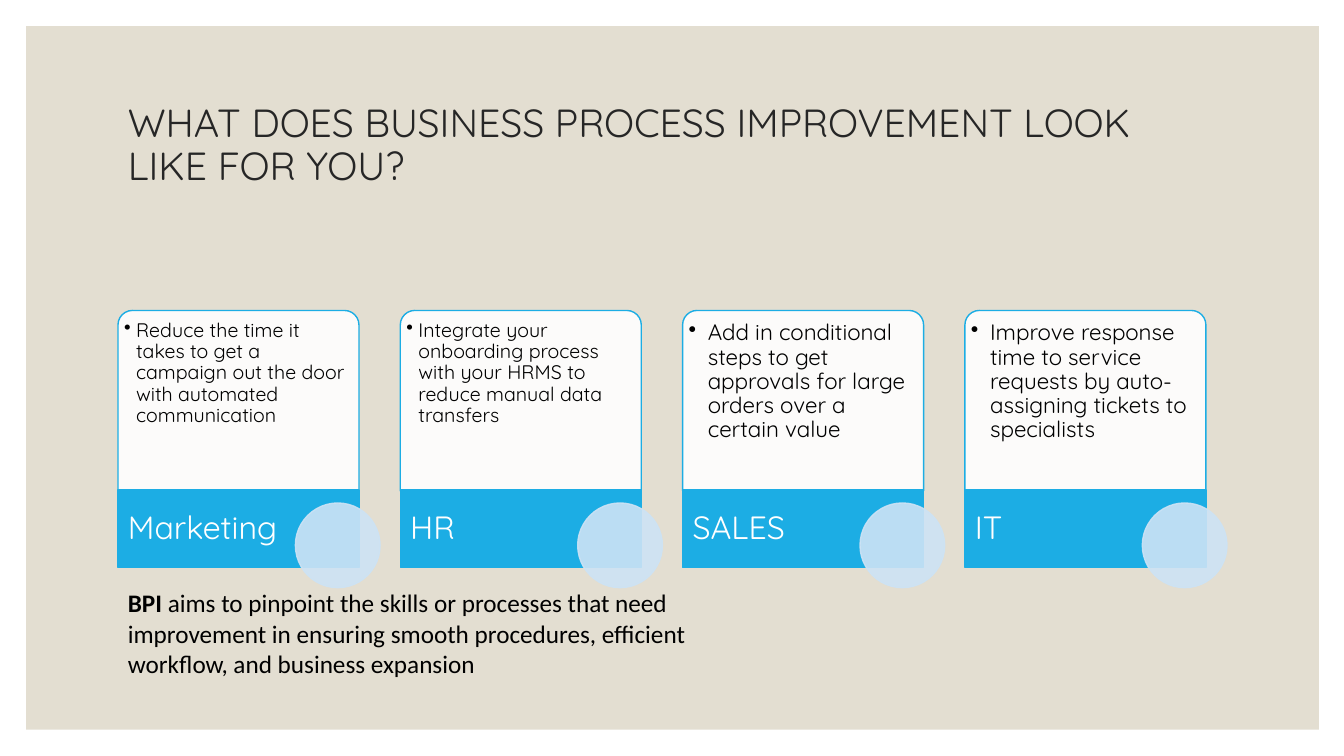
from lxml.etree import SubElement
from pptx import Presentation
from pptx.dml.color import RGBColor
from pptx.enum.shapes import MSO_SHAPE as Kind
from pptx.enum.text import MSO_ANCHOR as Anchor
from pptx.oxml.ns import qn
from pptx.util import Inches, Pt

TITLE = "WHAT DOES BUSINESS PROCESS IMPROVEMENT LOOK LIKE FOR YOU?"
# name, text, text size, bullet indent, top inset
CARDS = [
    ("Marketing", "Reduce the time it takes to get a campaign out the door "
     "with automated communication", 14, 0.12, 0.06),
    ("HR", "Integrate your onboarding process with your HRMS to reduce "
     "manual data transfers", 14, 0.12, 0.06),
    ("SALES", "Add in conditional steps to get approvals for large orders "
     "over a certain value", 16, 0.19, 0.07),
    ("IT", "Improve response time to service requests by auto-assigning "
     "tickets to specialists", 16, 0.19, 0.07),
]
NOTE = [("BPI", True),
        (" aims to pinpoint the skills or processes that need improvement in "
         "ensuring smooth procedures, efficient workflow, and business "
         "expansion", False)]
COLORS = {"sand": "E3DED1", "title": "262626", "blue": "1CADE4",
          "pale": "CDE3F5", "white": "FFFFFF", "black": "000000"}

LEFT, STEP, WIDTH = 1.17, 2.8, 2.39
TOP, BODY, BAR, DOT = 3.08, 1.79, 0.77, 0.84


def color(name):
    return RGBColor.from_string(COLORS[name])


def fade(fill, percent):
    """Set the opacity of a solid fill."""
    tint = fill.fore_color._xFill[0]
    SubElement(tint, qn("a:alpha"), val=str(percent * 1000))


def add_box(slide, kind, at, fill, line=None, alpha=100, edge=100):
    box = slide.shapes.add_shape(kind, *map(Inches, at))
    box.shadow.inherit = False
    box.fill.solid()
    box.fill.fore_color.rgb = color(fill)
    if alpha < 100:
        fade(box.fill, alpha)
    if line:
        box.line.color.rgb = color(line)
        box.line.width = Pt(1)
        if edge < 100:
            fade(box.line.fill, edge)
    else:
        box.line.fill.background()
    return box


def add_text(slide, at, runs, size, font="Quicksand", ink="black",
             anchor=Anchor.TOP, inset=(0.1, 0.05, 0.1, 0.05), space=0.9,
             indent=0):
    """Write (text, bold) runs as one paragraph; an indent adds a bullet."""
    frame = slide.shapes.add_textbox(*map(Inches, at)).text_frame
    frame.word_wrap = True
    frame.vertical_anchor = anchor
    (frame.margin_left, frame.margin_top,
     frame.margin_right, frame.margin_bottom) = map(Inches, inset)
    para = frame.paragraphs[0]
    para.line_spacing = space
    for text, bold in runs:
        run = para.add_run()
        run.text = text
        run.font.size = Pt(size)
        run.font.name = font
        run.font.bold = bold
        run.font.color.rgb = color(ink)
    if indent:
        props = para._p.get_or_add_pPr()
        props.set("marL", str(Inches(indent)))
        props.set("indent", str(-Inches(indent)))
        SubElement(props, qn("a:buChar"), char="•")


def add_card(slide, left, name, text, size, indent, top):
    bar = TOP + BODY - 0.01
    body = add_box(slide, Kind.ROUND_2_SAME_RECTANGLE,
                   (left, TOP, WIDTH, BODY), "white", "blue", alpha=90)
    body.adjustments[0] = 0.08
    body.adjustments[1] = 0
    add_text(slide, (left + 0.04, TOP + 0.04, 2.31, 1.74), [(text, False)],
             size, inset=(0.02, top, 0.02, 0.02), indent=indent)
    add_box(slide, Kind.RECTANGLE, (left, bar, WIDTH, BAR), "blue", "blue")
    add_text(slide, (left, bar, 1.69, BAR), [(name, False)], 23, ink="white",
             anchor=Anchor.MIDDLE, inset=(0.1, 0, 0.03, 0))
    add_box(slide, Kind.OVAL, (left + 1.76, bar + 0.13, DOT, DOT),
            "pale", "pale", alpha=90, edge=90)


def main():
    deck = Presentation()
    deck.slide_width, deck.slide_height = Inches(13.33), Inches(7.5)
    slide = deck.slides.add_slide(deck.slide_layouts[6])
    add_box(slide, Kind.RECTANGLE, (0.26, 0.26, 12.82, 6.98), "sand")
    add_text(slide, (LEFT, 0.7, 11, 1.5), [(TITLE, False)], 28, ink="title",
             anchor=Anchor.MIDDLE)
    for i, card in enumerate(CARDS):
        add_card(slide, LEFT + i * STEP, *card)
    add_text(slide, (LEFT, 5.78, 6.67, 1.01), NOTE, 18, font="Calibri",
             space=1.0)
    deck.save("out.pptx")


if __name__ == "__main__":
    main()
